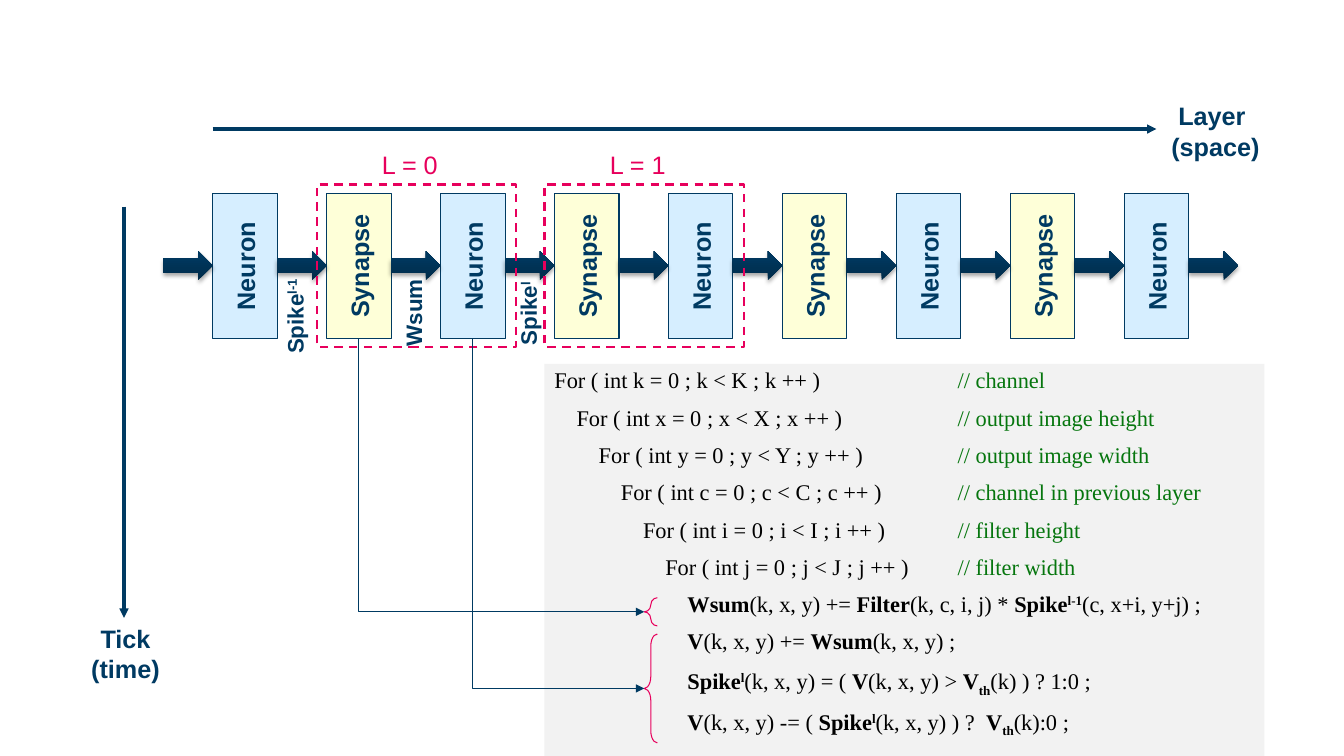
from dataclasses import dataclass

from lxml.etree import SubElement
from pptx import Presentation
from pptx.dml.color import RGBColor
from pptx.enum.dml import MSO_LINE
from pptx.enum.shapes import MSO_CONNECTOR, MSO_SHAPE
from pptx.enum.text import MSO_ANCHOR, PP_ALIGN
from pptx.oxml.ns import qn
from pptx.util import Inches, Pt


@dataclass(frozen=True)
class Theme:
    navy: RGBColor = RGBColor.from_string("003A62")
    arrow_dark: RGBColor = RGBColor.from_string("002B49")
    arrow_light: RGBColor = RGBColor.from_string("00385F")
    pink: RGBColor = RGBColor.from_string("E7005C")
    neuron: RGBColor = RGBColor.from_string("D6EEFF")
    synapse: RGBColor = RGBColor.from_string("FEFFD8")
    panel: RGBColor = RGBColor.from_string("F2F2F2")
    code: RGBColor = RGBColor.from_string("000000")
    comment: RGBColor = RGBColor.from_string("06760E")
    sans: str = "Arial"
    serif: str = "Times New Roman"
    label: Pt = Pt(18)
    small: Pt = Pt(16)
    thin: Pt = Pt(0.75)
    dashed: Pt = Pt(1.5)
    axis: Pt = Pt(2.25)


THEME = Theme()
HEADING = {"name": THEME.sans, "size": THEME.label, "bold": True, "color": THEME.navy}
SIGNAL = {**HEADING, "size": THEME.small}
LAYER = {**HEADING, "bold": False, "color": THEME.pink}
CODE = {"name": THEME.serif, "size": THEME.small, "bold": False, "color": THEME.code}
COMMENT = {**CODE, "color": THEME.comment}
NAME = {**CODE, "bold": True}
SUPER, SUB = "30000", "-25000"

PITCH = 1.13  # distance between neighbouring stages
FIRST_STAGE = 2.43  # centre of the first stage
STAGE_COUNT = 9
FLOW_Y = 2.64
CODE_LEFT = 5.4

LOOPS = [
    ("k = 0 ; k < K ; k", "channel"),
    ("x = 0 ; x < X ; x", "output image height"),
    ("y = 0 ; y < Y ; y", "output image width"),
    ("c = 0 ; c < C ; c", "channel in previous layer"),
    ("i = 0 ; i < I ; i", "filter height"),
    ("j = 0 ; j < J ; j", "filter width"),
]
WSUM, V, SPIKE, FILTER = ((word, NAME) for word in ("Wsum", "V", "Spike", "Filter"))
L, L_BEFORE, TH = ("l", NAME, SUPER), ("l-1", NAME, SUPER), ("th", NAME, SUB)
STATEMENTS = [
    [WSUM, ("(k, x, y) += ", CODE), FILTER, ("(k, c, i, j) * ", CODE),
     SPIKE, L_BEFORE, ("(c, x+i, y+j) ;", CODE)],
    [V, ("(k, x, y) += ", CODE), WSUM, ("(k, x, y) ;", CODE)],
    [SPIKE, L, ("(k, x, y) = ( ", CODE), V, ("(k, x, y) > ", CODE),
     V, TH, ("(k) ) ? 1:0 ;", CODE)],
    [V, ("(k, x, y) -= ( ", CODE), SPIKE, L, ("(k, x, y) ) ?  ", CODE),
     V, TH, ("(k):0 ;", CODE)],
]


def apply(target, values):
    for key, value in values.items():
        if key == "color":
            target.color.rgb = value
        else:
            setattr(target, key, value)


def write(paragraph, runs):
    for text, style, *baseline in runs:
        if text == "\v":
            paragraph.add_line_break()
            continue
        run = paragraph.add_run()
        run.text = text
        apply(run.font, style)
        if baseline:
            run.font._element.set("baseline", baseline[0])


def add_shape(slide, kind, left, top, width, height, fill=None, line=None):
    shape = slide.shapes.add_shape(kind, *map(Inches, (left, top, width, height)))
    shape.shadow.inherit = False
    if fill is None:
        shape.fill.background()
    else:
        shape.fill.solid()
        shape.fill.fore_color.rgb = fill
    if line:
        apply(shape.line, line)
    else:
        shape.line.fill.background()
    return shape


def add_stage(slide, center, name, fill):
    stage = add_shape(slide, MSO_SHAPE.RECTANGLE, center - 0.72, FLOW_Y - 0.32, 1.44, 0.64,
                      fill, {"color": THEME.navy, "width": THEME.thin})
    stage.rotation = 270
    apply(stage.text_frame, {"vertical_anchor": MSO_ANCHOR.MIDDLE, "word_wrap": True})
    paragraph = stage.text_frame.paragraphs[0]
    paragraph.alignment = PP_ALIGN.CENTER
    write(paragraph, [(name, HEADING)])


def add_flow_arrow(slide, left):
    arrow = add_shape(slide, MSO_SHAPE.RIGHT_ARROW, left, FLOW_Y - 0.15, 0.49, 0.29)
    arrow.fill.gradient()
    arrow.fill.gradient_angle = 90
    stops = [(0, THEME.arrow_dark), (0.8, THEME.arrow_light)]
    for stop, (position, color) in zip(arrow.fill.gradient_stops, stops):
        apply(stop, {"position": position, "color": color})
    # Soft shadow below the arrow
    effects = arrow._element.spPr.find(qn("a:effectLst"))
    shadow = SubElement(effects, qn("a:outerShdw"), blurRad=str(Pt(3.1)), dist=str(Pt(1.8)),
                        dir="5400000", rotWithShape="0")
    black = SubElement(shadow, qn("a:srgbClr"), val="000000")
    SubElement(black, qn("a:alpha"), val="35000")


def add_label(slide, left, top, width, height, lines, align=PP_ALIGN.LEFT, rotation=0):
    label = slide.shapes.add_textbox(*map(Inches, (left, top, width, height)))
    label.rotation = rotation
    frame = label.text_frame
    frame.word_wrap = False
    for index, runs in enumerate(lines):
        paragraph = frame.add_paragraph() if index else frame.paragraphs[0]
        paragraph.alignment = align
        write(paragraph, runs)


def add_arrow(slide, kind, start, end, width):
    arrow = slide.shapes.add_connector(kind, *map(Inches, (*start, *end)))
    apply(arrow.line, {"color": THEME.navy, "width": width})
    SubElement(arrow.line._get_or_add_ln(), qn("a:tailEnd"), type="triangle")
    SubElement(arrow._element.spPr, qn("a:effectLst"))
    return arrow


def add_elbow(slide, start, end):
    """Go down from start, then right to end: a one-bend connector turned by 270 degrees."""
    (x1, y1), (x2, y2) = start, end
    middle_x, middle_y = (x1 + x2) / 2, (y1 + y2) / 2
    half_drop, half_run = (y2 - y1) / 2, (x2 - x1) / 2
    elbow = add_arrow(slide, MSO_CONNECTOR.ELBOW, (middle_x + half_drop, middle_y - half_run),
                      (middle_x - half_drop, middle_y + half_run), THEME.thin)
    properties = elbow._element.spPr
    properties.find(qn("a:xfrm")).set("rot", "16200000")
    properties.find(qn("a:prstGeom")).set("prst", "bentConnector2")


def add_code(slide):
    panel = add_shape(slide, MSO_SHAPE.RECTANGLE, CODE_LEFT, 3.61, 7.14, 3.89, THEME.panel)
    frame = panel.text_frame
    apply(frame, {"word_wrap": True, "vertical_anchor": MSO_ANCHOR.TOP})
    lines = [
        (level, [(f"For ( int {loop} ++ )\t", CODE), (f"// {note}", COMMENT)])
        for level, (loop, note) in enumerate(LOOPS)
    ] + [(len(LOOPS), statement) for statement in STATEMENTS]
    for index, (level, runs) in enumerate(lines):
        paragraph = frame.add_paragraph() if index else frame.paragraphs[0]
        apply(paragraph, {"alignment": PP_ALIGN.LEFT, "line_spacing": 0.93,
                          "space_before": Pt(8.8)})
        # One tab stop for the nesting level, one for the comment column
        tabs = SubElement(paragraph._p.get_or_add_pPr(), qn("a:tabLst"))
        for stop in ([0.22 * level] if level else []) + [4]:
            SubElement(tabs, qn("a:tab"), pos=str(Inches(stop)), algn="l")
        write(paragraph, ([("\t", CODE)] if level else []) + runs)


def main():
    deck = Presentation()
    apply(deck, {"slide_width": Inches(13.33), "slide_height": Inches(7.5)})
    slide = deck.slides.add_slide(deck.slide_layouts[6])

    # Chain of neurons and synapses
    for index in range(STAGE_COUNT):
        name, fill = [("Neuron", THEME.neuron), ("Synapse", THEME.synapse)][index % 2]
        add_stage(slide, FIRST_STAGE + index * PITCH, name, fill)
    for index in range(STAGE_COUNT + 1):
        add_flow_arrow(slide, 1.62 + index * PITCH)

    # Dashed frames around the layers
    for layer in range(2):
        left = 3.14 + layer * 2 * PITCH
        add_shape(slide, MSO_SHAPE.RECTANGLE, left, 1.83, 1.98, 1.61, line={
            "color": THEME.pink, "width": THEME.dashed, "dash_style": MSO_LINE.DASH})
        add_label(slide, left + 0.55, 1.43, 0.76, 0.4, [[(f"L = {layer}", LAYER)]])

    # Space and time axes
    add_arrow(slide, MSO_CONNECTOR.STRAIGHT, (2.11, 1.28), (11.47, 1.28), THEME.axis)
    add_label(slide, 11.51, 0.95, 1.09, 0.71,
              [[("Layer ", HEADING), ("\v", HEADING), ("(space)", HEADING)]], PP_ALIGN.CENTER)
    add_arrow(slide, MSO_CONNECTOR.STRAIGHT, (1.23, 2.05), (1.23, 6.13), THEME.axis)
    add_label(slide, 0.8, 6.13, 0.89, 0.71,
              [[("Tick", HEADING)], [("(time)", HEADING)]], PP_ALIGN.CENTER)

    # Code with braces, each linked to its stage
    add_code(slide)
    for stage, top, height, bend in [(1, 5.93, 0.28, 0.69), (2, 6.29, 1.08, 0.92)]:
        brace = add_shape(slide, MSO_SHAPE.LEFT_BRACE, 6.39, top, 0.13, height,
                          line={"color": THEME.pink, "width": THEME.thin})
        brace.adjustments[0] = bend
        add_elbow(slide, (FIRST_STAGE + stage * PITCH, 3.36), (6.39, top + height / 2))

    # Signals between the stages
    for left, top, width, runs in [
        (3.66, 2.91, 0.88, [("Wsum", SIGNAL)]),
        (4.82, 2.92, 0.84, [("Spike", SIGNAL), ("l", SIGNAL, SUPER)]),
        (2.44, 2.94, 0.97, [("Spike", SIGNAL), ("l-1", SIGNAL, SUPER)]),
    ]:
        add_label(slide, left, top, width, 0.37, [runs], rotation=270)

    deck.save("out.pptx")


if __name__ == "__main__":
    main()
